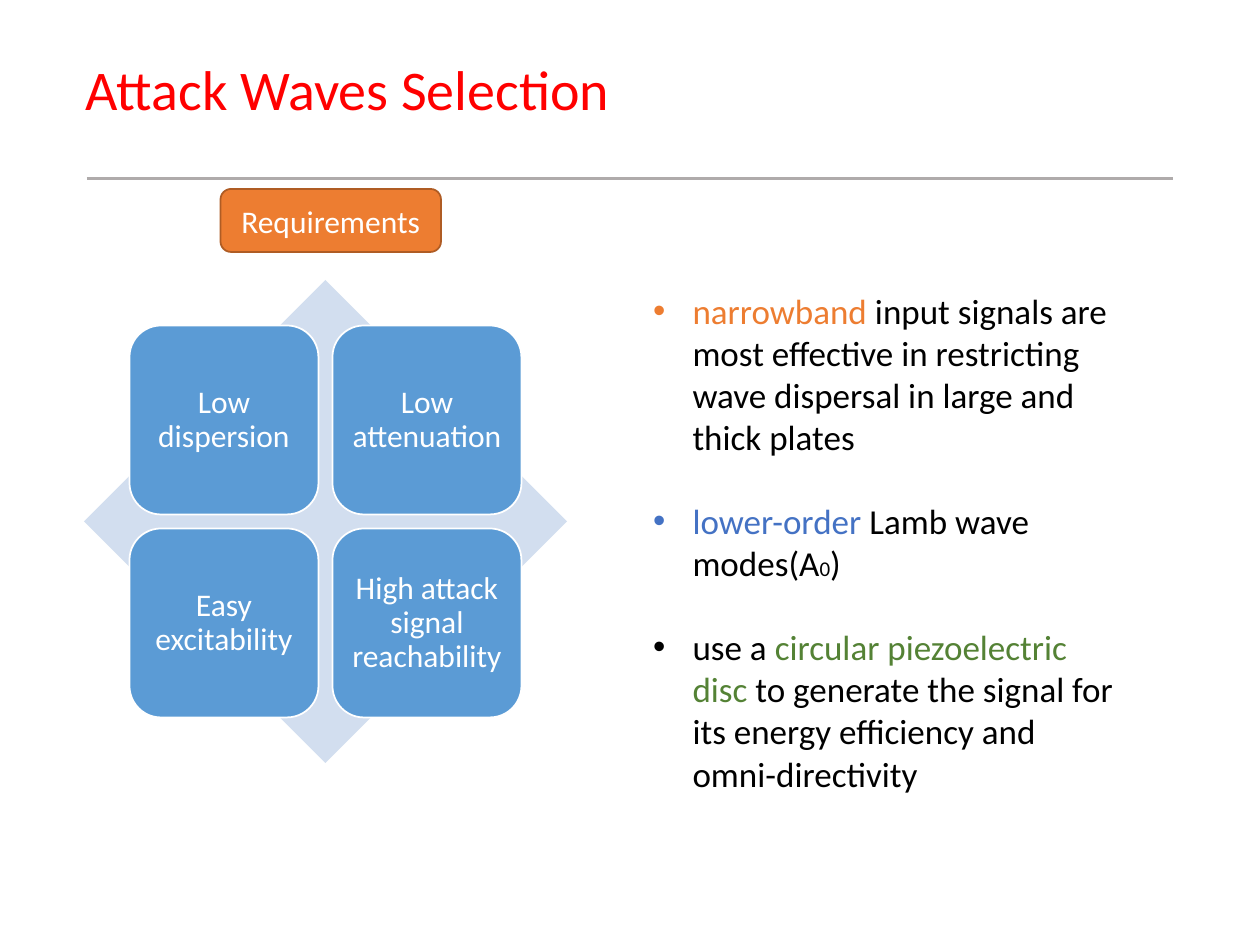
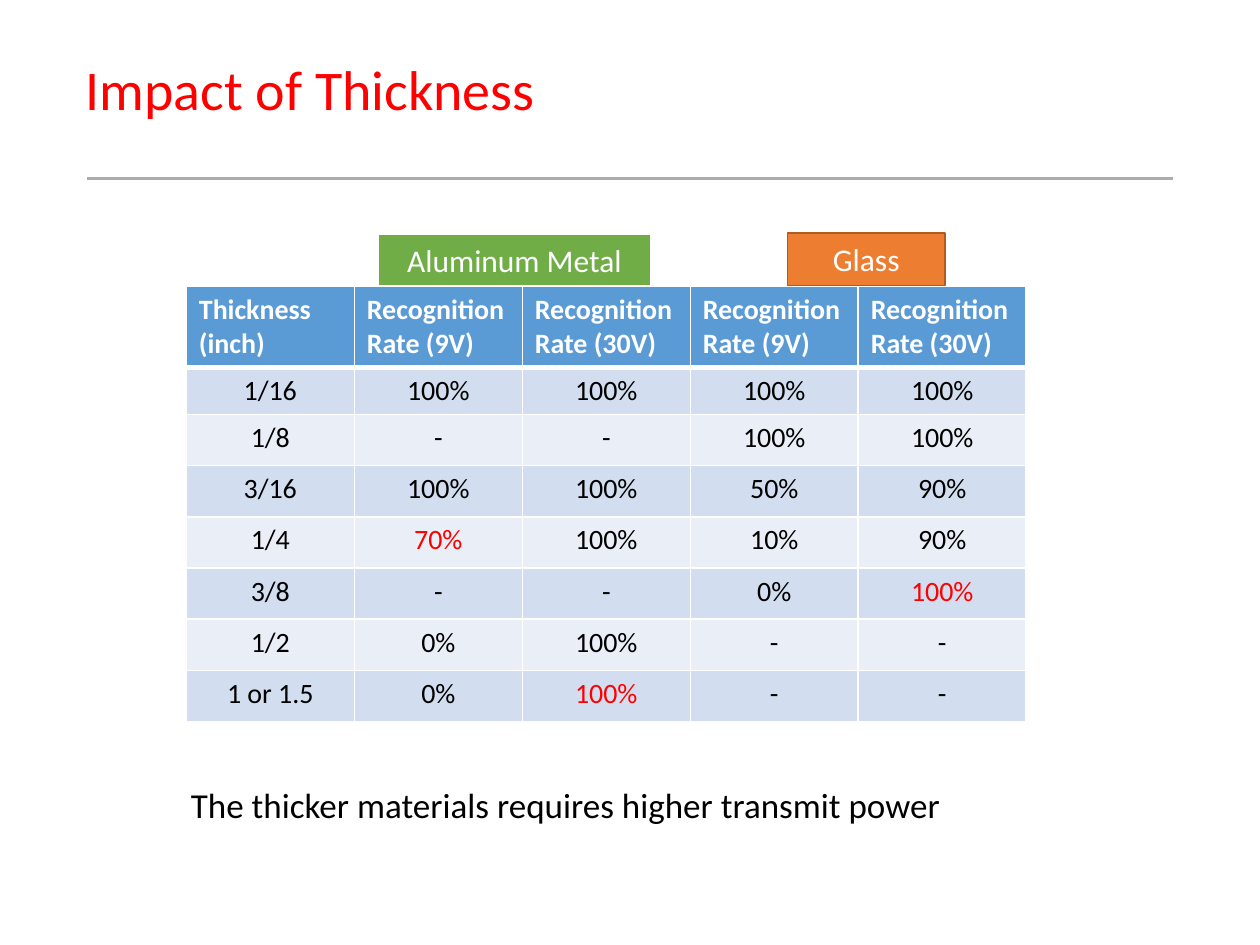
from dataclasses import dataclass

import lxml.etree
import pptx
import pptx.dml.color
import pptx.enum.shapes
import pptx.enum.text
import pptx.oxml
import pptx.oxml.ns
import pptx.presentation
import pptx.slide
import pptx.table
import pptx.text.text
import pptx.util

Pt = pptx.util.Pt
Shapes = pptx.enum.shapes.MSO_SHAPE
Align = pptx.enum.text.PP_ALIGN
Anchor = pptx.enum.text.MSO_ANCHOR
qn = pptx.oxml.ns.qn

FONT = "Calibri"
COLORS = {
    "title": "FF0000",
    "rule": "AFABAB",
    "text": "000000",
    "white": "FFFFFF",
    "blue": "5B9BD5",
    "band_dark": "D2DEEF",
    "band_light": "EAEFF7",
    "orange": "ED7D31",
    "orange_edge": "AF5C24",
    "green": "70AD47",
    "royal_blue": "4472C4",
    "dark_green": "548235",
    "highlight": "FF0000",
}


@dataclass(frozen=True)
class Box:
    left: float
    top: float
    width: float
    height: float

    def lengths(self) -> tuple[int, ...]:
        return Pt(self.left), Pt(self.top), Pt(self.width), Pt(self.height)


@dataclass(frozen=True)
class Label:
    text: str
    box: Box
    kind: Shapes
    fill: str
    edge: str | None = None
    edge_width: float = 1
    margin: float = 7.2
    line_spacing: float = 1.0


@dataclass(frozen=True)
class TextRun:
    text: str
    color: str = "text"
    size: float = 20


TITLE_BOX = Box(41.75, 25.2, 620.65, 55.45)
RULE_LEFT, RULE_RIGHT, RULE_TOP = 49.7, 670.3, 102

DIAMOND = Box(48, 160, 276, 276)
TILE_SIZE = 108
TILE_PITCH = 116
TILE_MARGIN = 4.5
TILE_TEXTS = ["Low dispersion", "Low attenuation", "Easy excitability", "High attack signal reachability"]
REQUIREMENTS = Label("Requirements", Box(126, 108, 126, 36), Shapes.ROUNDED_RECTANGLE, "orange", "orange_edge")

FINDINGS_BOX = Box(366, 162, 282, 319.7)
FINDINGS = [
    [
        TextRun("narrowband", "orange"),
        TextRun(" input signals are most effective in restricting wave dispersal in large and thick plates"),
    ],
    [
        TextRun("lower-order", "royal_blue"),
        TextRun(" Lamb wave modes(A"),
        TextRun("0", size=12),
        TextRun(")"),
    ],
    [
        TextRun("use a "),
        TextRun("circular piezoelectric disc", "dark_green"),
        TextRun(" to generate the signal for its energy efficiency and omni-directivity"),
    ],
]

MATERIALS = [
    Label("Aluminum Metal", Box(216, 133.6, 156, 30), Shapes.RECTANGLE, "green", "white", 1.5),
    Label("Glass", Box(450, 133.2, 90, 30), Shapes.RECTANGLE, "orange", "orange_edge"),
]
RATES_BOX = Box(106.5, 163.6, 480, 248.5)
RATE_ROWS = [
    ["Thickness (inch)"] + ["Recognition Rate (9V)", "Recognition Rate (30V)"] * 2,
    ["1/16", "100%", "100%", "100%", "100%"],
    ["1/8", "-", "-", "100%", "100%"],
    ["3/16", "100%", "100%", "50%", "90%"],
    ["1/4", "70%", "100%", "10%", "90%"],
    ["3/8", "-", "-", "0%", "100%"],
    ["1/2", "0%", "100%", "-", "-"],
    ["1 or 1.5", "0%", "100%", "-", "-"],
]
HIGHLIGHTED_CELLS = {(4, 1), (5, 4), (7, 2)}
ROW_HEIGHTS = [46, 27] + [29.25] * 6
CAPTION_BOX = Box(102, 444, 516, 31.5)


def rgb(color: str) -> pptx.dml.color.RGBColor:
    return pptx.dml.color.RGBColor.from_string(COLORS[color])


def style_font(font: pptx.text.text.Font, size: float, color: str, bold: bool = False) -> None:
    font.name = FONT
    font.size = Pt(size)
    font.bold = bold
    font.color.rgb = rgb(color)


def place(shape, box: Box) -> None:
    shape.left, shape.top, shape.width, shape.height = box.lengths()


def add_titled_slide(presentation: pptx.presentation.Presentation, layout: int, text: str) -> pptx.slide.Slide:
    slide = presentation.slides.add_slide(presentation.slide_layouts[layout])
    title = slide.shapes.title
    place(title, TITLE_BOX)
    frame = title.text_frame
    frame.text = text
    frame.auto_size = pptx.enum.text.MSO_AUTO_SIZE.NONE
    frame.vertical_anchor = Anchor.MIDDLE
    paragraph = frame.paragraphs[0]
    paragraph.alignment = Align.LEFT
    paragraph.line_spacing = 0.9
    style_font(paragraph.font, 32, "title")

    rule = slide.shapes.add_connector(
        pptx.enum.shapes.MSO_CONNECTOR.STRAIGHT,
        Pt(RULE_LEFT), Pt(RULE_TOP), Pt(RULE_RIGHT), Pt(RULE_TOP),
    )
    rule.line.color.rgb = rgb("rule")
    rule.line.width = Pt(1.75)
    lxml.etree.SubElement(rule._element.spPr, qn("a:effectLst"))
    return slide


def add_label(slide: pptx.slide.Slide, label: Label) -> None:
    shape = slide.shapes.add_shape(label.kind, *label.box.lengths())
    shape.shadow.inherit = False
    shape.fill.solid()
    shape.fill.fore_color.rgb = rgb(label.fill)
    if label.edge:
        shape.line.color.rgb = rgb(label.edge)
        shape.line.width = Pt(label.edge_width)
    else:
        shape.line.fill.background()
    if not label.text:
        return
    frame = shape.text_frame
    frame.word_wrap = True
    frame.vertical_anchor = Anchor.MIDDLE
    frame.margin_left = frame.margin_right = Pt(label.margin)
    frame.text = label.text
    paragraph = frame.paragraphs[0]
    paragraph.alignment = Align.CENTER
    paragraph.line_spacing = label.line_spacing
    style_font(paragraph.font, 18, "white")


def add_requirement_tiles(slide: pptx.slide.Slide) -> None:
    add_label(slide, Label("", DIAMOND, Shapes.DIAMOND, "band_dark"))
    inset = (DIAMOND.width - TILE_PITCH - TILE_SIZE) / 2
    for index, text in enumerate(TILE_TEXTS):
        row, column = divmod(index, 2)
        box = Box(
            DIAMOND.left + inset + column * TILE_PITCH,
            DIAMOND.top + inset + row * TILE_PITCH,
            TILE_SIZE,
            TILE_SIZE,
        )
        tile = Label(text, box, Shapes.ROUNDED_RECTANGLE, "blue", "white", margin=TILE_MARGIN, line_spacing=0.9)
        add_label(slide, tile)


def fill_findings(slide: pptx.slide.Slide) -> None:
    body = slide.placeholders[1]
    place(body, FINDINGS_BOX)
    frame = body.text_frame
    frame.auto_size = pptx.enum.text.MSO_AUTO_SIZE.NONE
    for index, runs in enumerate(FINDINGS):
        paragraph = frame.add_paragraph() if index else frame.paragraphs[0]
        paragraph.space_before = Pt(24 if index else 0)
        properties = paragraph._p.get_or_add_pPr()
        properties.set("marL", str(Pt(22.5)))
        properties.set("indent", str(-Pt(22.5)))
        bullet = lxml.etree.SubElement(properties, qn("a:buChar"))
        bullet.set("char", "•")
        for text_run in runs:
            run = paragraph.add_run()
            run.text = text_run.text
            style_font(run.font, text_run.size, text_run.color)


def add_cell_borders(cell: pptx.table._Cell, widths: dict[str, float]) -> None:
    properties = cell._tc.get_or_add_tcPr()
    for side, width in widths.items():
        border = lxml.etree.SubElement(properties, qn(f"a:ln{side}"), w=str(Pt(width)))
        fill = lxml.etree.SubElement(border, qn("a:solidFill"))
        lxml.etree.SubElement(fill, qn("a:srgbClr"), val=COLORS["white"])


def add_rates_table(slide: pptx.slide.Slide) -> None:
    columns = len(RATE_ROWS[0])
    table = slide.shapes.add_table(len(RATE_ROWS), columns, *RATES_BOX.lengths()).table
    for column in table.columns:
        column.width = Pt(RATES_BOX.width / columns)
    for row, texts in enumerate(RATE_ROWS):
        table.rows[row].height = Pt(ROW_HEIGHTS[row])
        is_header = row == 0
        band = "blue" if is_header else "band_dark" if row % 2 else "band_light"
        for column, text in enumerate(texts):
            cell = table.cell(row, column)
            add_cell_borders(cell, {"L": 1, "R": 1, "T": 3 if row == 1 else 1, "B": 3 if is_header else 1})
            cell.fill.solid()
            cell.fill.fore_color.rgb = rgb(band)
            cell.text = text
            paragraph = cell.text_frame.paragraphs[0]
            paragraph.alignment = Align.LEFT if is_header else Align.CENTER
            color = "white" if is_header else "highlight" if (row, column) in HIGHLIGHTED_CELLS else "text"
            style_font(paragraph.font, 16, color, bold=is_header)


def add_caption(slide: pptx.slide.Slide, text: str) -> None:
    frame = slide.shapes.add_textbox(*CAPTION_BOX.lengths()).text_frame
    frame.word_wrap = True
    frame.text = text
    style_font(frame.paragraphs[0].font, 20, "text")


def main() -> None:
    presentation = pptx.Presentation()
    presentation.slide_width, presentation.slide_height = Pt(720), Pt(540)

    selection = add_titled_slide(presentation, 1, "Attack Waves Selection")
    add_requirement_tiles(selection)
    fill_findings(selection)
    add_label(selection, REQUIREMENTS)

    thickness = add_titled_slide(presentation, 5, "Impact of Thickness")
    add_rates_table(thickness)
    for material in MATERIALS:
        add_label(thickness, material)
    add_caption(thickness, "The thicker materials requires higher transmit power")

    presentation.save("out.pptx")


if __name__ == "__main__":
    main()
